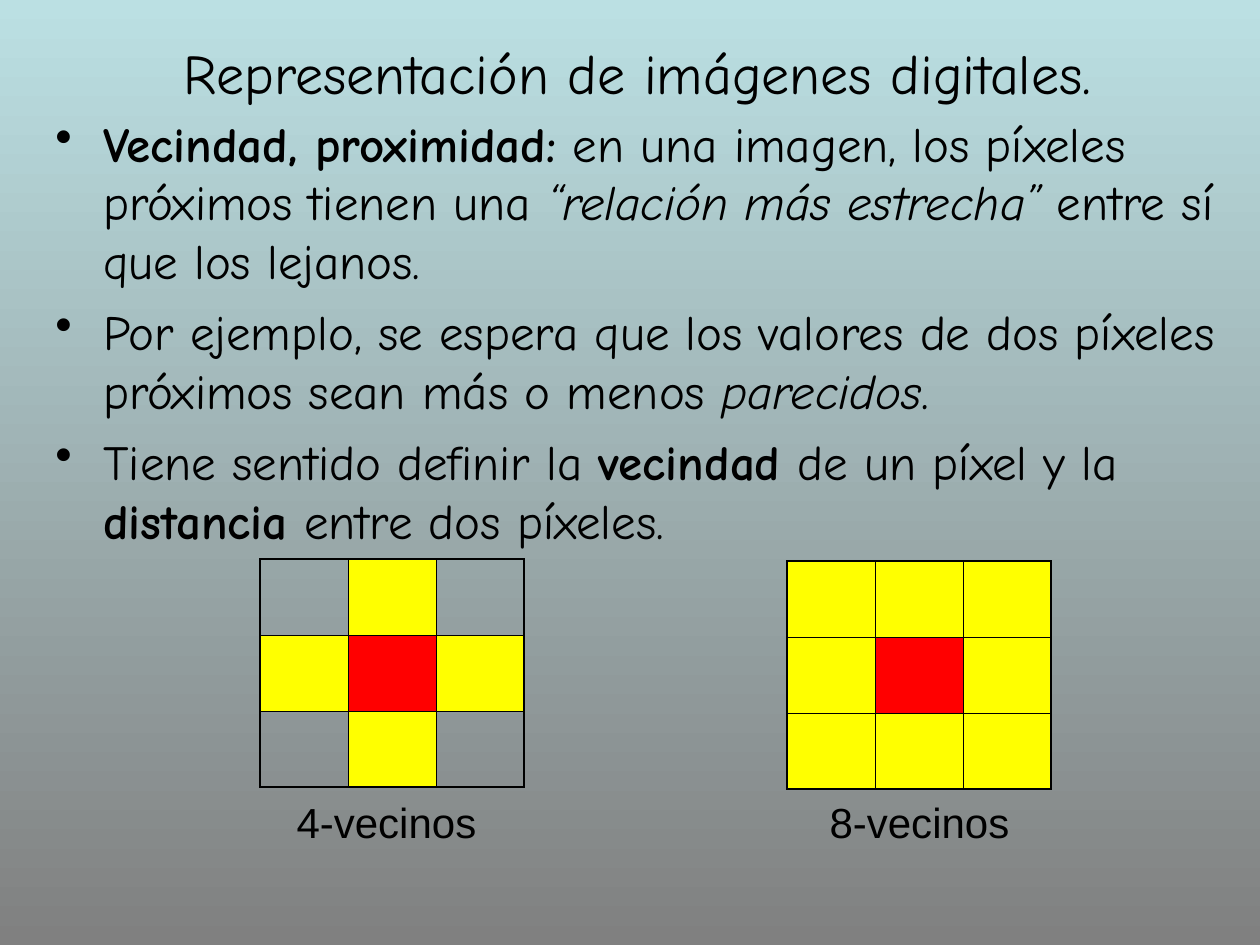
from lxml.etree import SubElement
from pptx import Presentation
from pptx.dml.color import RGBColor
from pptx.enum.text import MSO_ANCHOR as Anchor, PP_ALIGN as Align
from pptx.oxml.ns import qn
from pptx.util import Emu, Pt

EMU_PER_PX = 914400 / 126


def px(length):
    return Emu(round(length * EMU_PER_PX))


def color(value):
    return RGBColor.from_string(value)


class SlideBuilder:
    HAND, SANS, SPACE = "Comic Neue", "Arial", "Montserrat"
    INK, YELLOW, RED = "000000", "FFFF00", "FF0000"
    THICK, THIN = 1.08, 0.45

    def __init__(self, page):
        self.page = page

    def background(self, top, bottom):
        fill = self.page.background.fill
        fill.gradient()
        fill.gradient_angle = 270
        for stop, value in zip(fill.gradient_stops, (top, bottom)):
            stop.color.rgb = color(value)

    def text_frame(self, x, y, width, height, anchor=Anchor.TOP):
        box = self.page.shapes.add_textbox(px(x), px(y), px(width), px(height))
        frame = box.text_frame
        frame.word_wrap = True
        frame.vertical_anchor = anchor
        return frame

    def add_span(self, para, text, size, font, style=""):
        span = para.add_run()
        span.text = text
        span.font.size = Pt(size)
        span.font.name = font
        span.font.bold = style == "bold"
        span.font.italic = style == "italic"
        span.font.color.rgb = color(self.INK)

    def centered_line(self, x, y, width, height, spans, size, anchor=Anchor.TOP):
        para = self.text_frame(x, y, width, height, anchor).paragraphs[0]
        para.alignment = Align.CENTER
        for text, font in spans:
            self.add_span(para, text, size, font)

    def bullet_list(self, x, y, width, height, items, size=28, indent=48):
        frame = self.text_frame(x, y, width, height)
        for index, spans in enumerate(items):
            para = frame.add_paragraph() if index else frame.paragraphs[0]
            para.space_before = Pt(7 if index else 0)
            props = para._p.get_or_add_pPr()
            props.set("marL", str(px(indent)))
            props.set("indent", str(-px(indent)))
            bullet_color = SubElement(props, qn("a:buClr"))
            SubElement(bullet_color, qn("a:srgbClr"), val=self.INK)
            SubElement(props, qn("a:buChar"), char="•")
            for text, style in spans:
                self.add_span(para, text, size, self.HAND, style)

    def border(self, cell, side, width):
        line = SubElement(cell._tc.get_or_add_tcPr(), qn(f"a:ln{side}"), w=str(Pt(width)))
        fill = SubElement(line, qn("a:solidFill"))
        SubElement(fill, qn("a:srgbClr"), val=self.INK)

    def pixel_grid(self, x, y, pattern, cell_width=88, cell_height=76):
        last = len(pattern) - 1
        table = self.page.shapes.add_table(
            len(pattern), len(pattern), px(x), px(y),
            px(cell_width * len(pattern)), px(cell_height * len(pattern))).table
        table.first_row = table.horz_banding = False
        fills = {"Y": self.YELLOW, "R": self.RED}
        for row, marks in enumerate(pattern):
            for column, mark in enumerate(marks):
                cell = table.cell(row, column)
                outer = {"L": column == 0, "R": column == last,
                         "T": row == 0, "B": row == last}
                for side, is_outer in outer.items():
                    self.border(cell, side, self.THICK if is_outer else self.THIN)
                if mark in fills:
                    cell.fill.solid()
                    cell.fill.fore_color.rgb = color(fills[mark])
                else:
                    cell.fill.background()


def main():
    deck = Presentation()
    deck.slide_width, deck.slide_height = px(1260), px(945)
    slide = SlideBuilder(deck.slides.add_slide(deck.slide_layouts[6]))
    slide.background("BBE0E3", "808080")

    # Title
    title = [(" ", slide.SPACE), ("Representación de imágenes digitales.", slide.HAND)]
    slide.centered_line(25, 0, 1211, 145, title, 32, Anchor.MIDDLE)

    # Explanation
    slide.bullet_list(43, 107, 1189, 452, [
        [("Vecindad, proximidad:", "bold"),
         (" en una imagen, los píxeles próximos tienen una ", ""),
         ("“relación más estrecha”", "italic"),
         (" entre sí que los lejanos.", "")],
        [("Por ejemplo, se espera que los valores de dos píxeles próximos "
          "sean más o menos ", ""),
         ("parecidos", "italic"), (".", "")],
        [("Tiene sentido definir la ", ""), ("vecindad ", "bold"),
         ("de un píxel y la ", ""), ("distancia", "bold"),
         (" entre dos píxeles.", "")],
    ])

    # Neighbourhood grids with their captions
    neighbourhoods = [
        (260, 559, 241, "4-vecinos", (".Y.", "YRY", ".Y.")),
        (787, 561, 774, "8-vecinos", ("YYY", "YRY", "YYY")),
    ]
    for grid_x, grid_y, caption_x, caption, pattern in neighbourhoods:
        slide.pixel_grid(grid_x, grid_y, pattern)
        slide.centered_line(caption_x, 790, 291, 63, [(caption, slide.SANS)], 24)

    deck.save("out.pptx")


if __name__ == "__main__":
    main()
